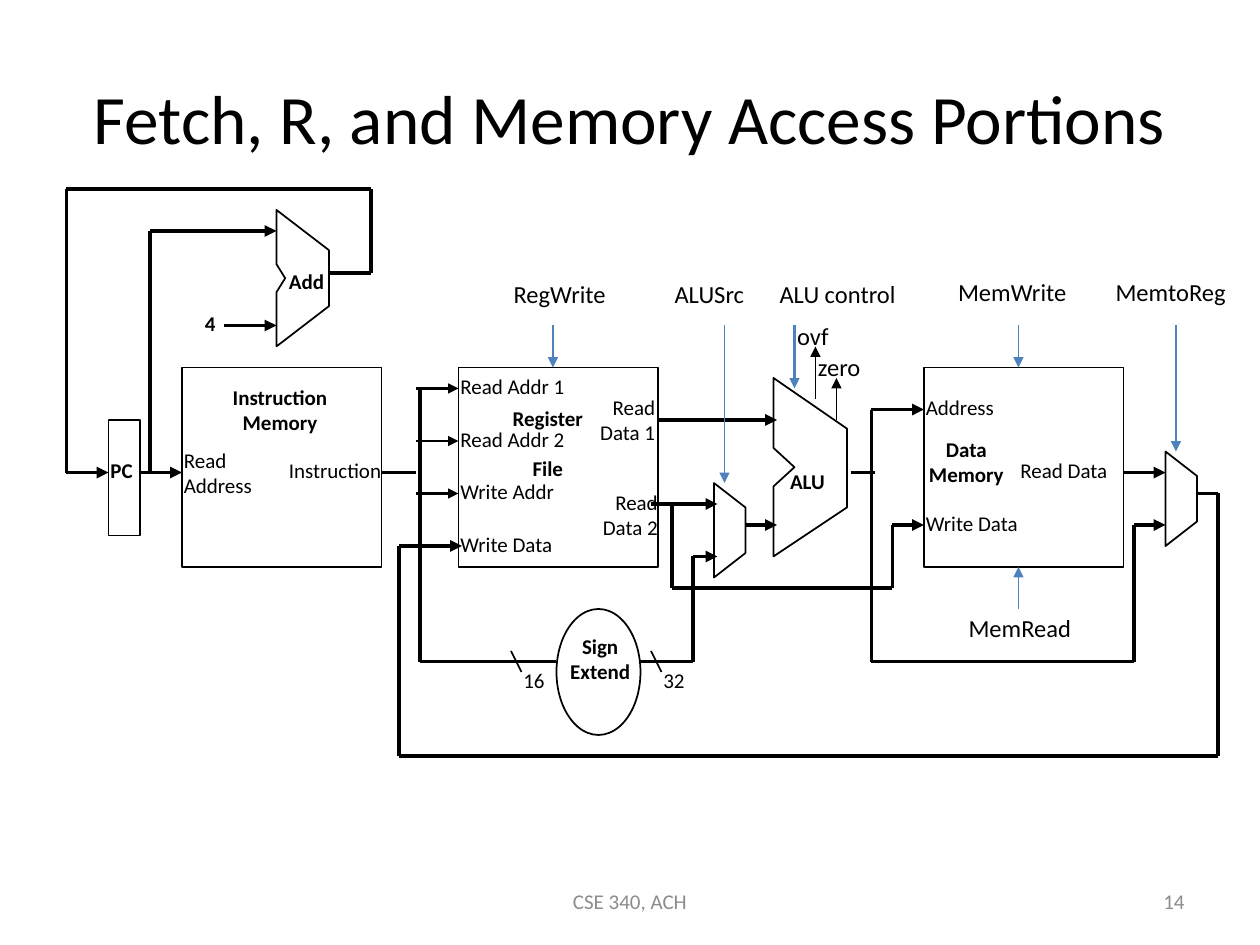
from dataclasses import dataclass
from itertools import pairwise

from lxml.etree import SubElement
from pptx import Presentation
from pptx.dml.color import RGBColor
from pptx.enum.shapes import MSO_CONNECTOR as Link, MSO_SHAPE as Preset
from pptx.enum.text import MSO_ANCHOR as Anchor, MSO_AUTO_SIZE as Fit, PP_ALIGN as Align
from pptx.oxml.ns import qn
from pptx.util import Pt

COLORS = {"ink": "000000", "control": "4F81BD", "footer": "8C8C8C"}
FONT = "Calibri"
LINE_HEIGHT = 14.4
BUS, PORT, THIN = 2.25, 1.5, 1


@dataclass
class Wire:
    points: list[tuple[float, float]]
    arrow: bool = True
    weight: float = BUS
    color: str = "ink"


@dataclass
class Block:
    preset: Preset
    left: float
    top: float
    width: float
    height: float


@dataclass
class Label:
    text: str
    left: float
    top: float
    width: float
    bold: bool = False
    align: Align = Align.LEFT
    gap: float = 0


@dataclass
class Signal:
    text: str
    left: float
    top: float
    width: float
    height: float = 26
    size: float = 14
    spacing: float | None = 18
    bold: bool = False
    align: Align = Align.LEFT


BLOCKS = [
    Block(Preset.RECTANGLE, 62, 240, 18, 66),
    *[Block(Preset.RECTANGLE, left, 210, 114, 114) for left in (104, 262, 528)],
    Block(Preset.OVAL, 318, 348, 48, 72),
]

ADDER = [(158, 120), (158, 151), (163, 159), (158, 167), (158, 198), (188, 175), (188, 143)]
ALU = [(442, 216), (442, 255.5), (454, 267), (442, 278), (442, 318), (484, 289.5), (484, 245)]
MUX_CORNERS = [(0, 54), (18, 40.5), (18, 13.5), (0, 0)]
MUX_ORIGINS = [(408, 276), (666, 258)]
MUXES = [[(x + dx, y + dy) for dx, dy in MUX_CORNERS] for x, y in MUX_ORIGINS]

WIRES = [
    Wire([(188, 156), (212, 156), (212, 108), (38, 108), (38, 270), (62, 270)]),
    Wire([(80, 270), (104, 270)]),
    Wire([(86, 270), (86, 132), (158, 132)]),
    Wire([(128, 186), (158, 186)]),
    Wire([(218, 270), (238, 270)], arrow=False),
    Wire([(240, 222), (240, 378), (318, 378)], arrow=False),
    *[Wire([(238, y), (262, y)], weight=PORT) for y in (222, 252, 282)],
    Wire([(376, 240), (444, 240)]),
    Wire([(372, 288), (410, 288)]),
    Wire([(384, 288), (384, 336), (510, 336), (510, 300), (528, 300)]),
    Wire([(366, 378), (396, 378), (396, 318), (410, 318)]),
    Wire([(426, 300), (444, 300)]),
    Wire([(486, 270), (500, 270)], arrow=False),
    Wire([(498, 234), (528, 234)]),
    Wire([(498, 234), (498, 378), (648, 378), (648, 300), (666, 300)]),
    Wire([(642, 270), (666, 270)]),
    Wire([(684, 282), (696, 282), (696, 432), (228, 432), (228, 312), (264, 312)]),
    *[Wire([(x, 372), (x + 6, 384)], arrow=False, weight=THIN) for x in (292, 372)],
    Wire([(466, 228), (466, 198)], weight=THIN),
    Wire([(478, 240), (478, 216)], weight=THIN),
    Wire([(454, 186), (454, 222)], weight=PORT, color="control"),
    *[Wire([(x, 186), (x, end)], weight=THIN, color="control")
      for x, end in ((316, 210), (414, 276), (582, 210), (672, 258))],
    Wire([(582, 348), (582, 324)], weight=THIN, color="control"),
]

LABELS = [
    Label("PC", 56, 258, 31, bold=True),
    Label("4", 110, 174, 21, bold=True),
    Label("Add", 158, 150, 38, bold=True),
    Label("Instruction\nMemory", 122, 216, 76, bold=True, align=Align.CENTER),
    Label("Read\nAddress", 98, 252, 58),
    Label("Instruction", 158, 258, 70),
    Label("Register\nFile", 281.5, 228, 63, bold=True, align=Align.CENTER, gap=LINE_HEIGHT),
    Label("Read Addr 1", 256, 210, 81),
    Label("Read Addr 2", 256, 240, 81),
    Label("Write Addr", 256, 270, 71),
    Label("Write Data", 256, 300, 71),
    Label("Read\nData 1", 328.5, 222, 53, align=Align.RIGHT),
    Label("Read\nData 2", 330, 276, 53, align=Align.RIGHT),
    Label("Data\nMemory", 522, 246, 60.5, bold=True, align=Align.CENTER),
    Label("Address", 522, 222, 58),
    Label("Write Data", 522, 288, 71),
    Label("Read Data", 576, 258, 71),
    Label("16", 292, 378, 28),
    Label("32", 372, 378, 28),
]

SIGNALS = [
    Signal("RegWrite", 292, 156, 73),
    Signal("ALUSrc", 384, 156, 54),
    Signal("ALU control", 444, 156, 73),
    Signal("MemWrite", 546, 156, 73, spacing=None),
    Signal("MemtoReg", 636, 156, 73, spacing=None),
    Signal("MemRead", 552, 348, 73, spacing=None),
    Signal("ovf", 454, 180, 60, 24),
    Signal("zero", 466, 198, 42, 24),
    Signal("ALU", 450, 264, 40, size=12, spacing=16, bold=True),
    Signal("Sign\nExtend", 322, 360, 42, 36, 12, None, True, Align.CENTER),
]


def rgb(name: str) -> RGBColor:
    return RGBColor.from_string(COLORS[name])


def write(frame, text: str, size: float, align: Align, bold: bool = False, color: str = "ink") -> None:
    frame.text = text
    for paragraph in frame.paragraphs:
        paragraph.alignment = align
        font = paragraph.font
        font.name, font.size, font.bold = FONT, Pt(size), bold
        font.color.rgb = rgb(color)


def add_frame(slide, left: float, top: float, width: float, height: float):
    return slide.shapes.add_textbox(Pt(left), Pt(top), Pt(width), Pt(height)).text_frame


def outline(shape) -> None:
    shape.shadow.inherit = False
    shape.fill.background()
    shape.line.color.rgb = rgb("ink")
    shape.line.width = Pt(THIN)


def draw_block(slide, block: Block) -> None:
    outline(slide.shapes.add_shape(
        block.preset, Pt(block.left), Pt(block.top), Pt(block.width), Pt(block.height)))


def draw_unit(slide, corners: list[tuple[float, float]]) -> None:
    builder = slide.shapes.build_freeform(*corners[0], scale=Pt(1))
    builder.add_line_segments(corners[1:], close=True)
    outline(builder.convert_to_shape())


def draw_wire(slide, wire: Wire) -> None:
    for start, end in pairwise(wire.points):
        segment = slide.shapes.add_connector(Link.STRAIGHT, *map(Pt, start + end))
        segment.line.color.rgb = rgb(wire.color)
        segment.line.width = Pt(wire.weight)
        properties = segment._element.spPr
        if wire.arrow and end == wire.points[-1]:
            SubElement(properties.find(qn("a:ln")), qn("a:tailEnd"), type="triangle")
        SubElement(properties, qn("a:effectLst"))


def draw_label(slide, label: Label) -> None:
    height = 7.2 + LINE_HEIGHT * len(label.text.split("\n")) + label.gap
    frame = add_frame(slide, label.left, label.top, label.width, height)
    frame.word_wrap, frame.auto_size = False, Fit.SHAPE_TO_FIT_TEXT
    write(frame, label.text, 12, label.align, label.bold)
    for paragraph in frame.paragraphs[1:]:
        paragraph.space_before = Pt(label.gap)


def draw_signal(slide, signal: Signal) -> None:
    frame = add_frame(slide, signal.left, signal.top, signal.width, signal.height)
    frame.word_wrap = False
    frame.margin_left = frame.margin_right = Pt(1.44)
    frame.margin_top = frame.margin_bottom = Pt(2.16)
    write(frame, signal.text, signal.size, signal.align, signal.bold)
    if signal.spacing:
        frame.paragraphs[0].line_spacing = Pt(signal.spacing)


def draw_footer(slide, text: str, left: float, width: float, align: Align) -> None:
    frame = add_frame(slide, left, 500.5, width, 28.75)
    frame.word_wrap, frame.vertical_anchor = True, Anchor.MIDDLE
    write(frame, text, 12, align, color="footer")


def main() -> None:
    deck = Presentation()
    deck.slide_width, deck.slide_height = Pt(720), Pt(540)
    slide = deck.slides.add_slide(deck.slide_layouts[5])
    title = slide.shapes.title
    title.left, title.top, title.width, title.height = Pt(36), Pt(21.6), Pt(648), Pt(90)
    title.text_frame.auto_size, title.text_frame.vertical_anchor = Fit.NONE, Anchor.MIDDLE
    write(title.text_frame, "Fetch, R, and Memory Access Portions", 39.6, Align.CENTER)

    for draw, parts in ((draw_block, BLOCKS), (draw_unit, [ADDER, ALU, *MUXES]),
                        (draw_wire, WIRES), (draw_label, LABELS), (draw_signal, SIGNALS)):
        for part in parts:
            draw(slide, part)
    draw_footer(slide, "CSE 340, ACH", 246, 228, Align.CENTER)
    draw_footer(slide, "14", 516, 168, Align.RIGHT)
    deck.save("out.pptx")


if __name__ == "__main__":
    main()
